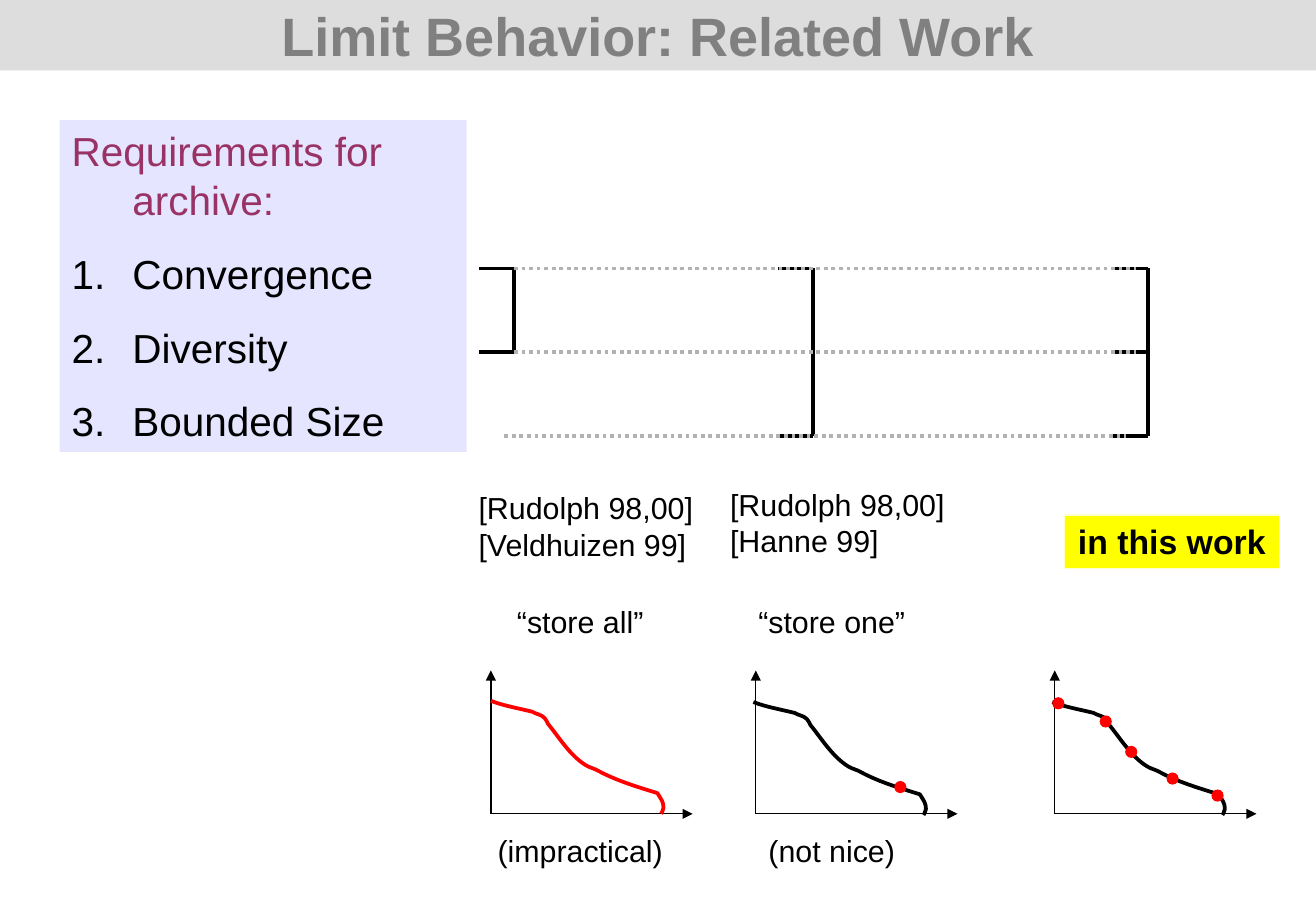
from lxml import etree
from pptx import Presentation
from pptx.dml.color import RGBColor
from pptx.enum.dml import MSO_LINE
from pptx.enum.shapes import MSO_CONNECTOR, MSO_SHAPE
from pptx.enum.text import MSO_ANCHOR, PP_ALIGN
from pptx.oxml.ns import qn
from pptx.util import Inches, Pt

RECT, OVAL = MSO_SHAPE.RECTANGLE, MSO_SHAPE.OVAL
STRAIGHT, DOTTED = MSO_CONNECTOR.STRAIGHT, MSO_LINE.ROUND_DOT
LEFT, CENTER = PP_ALIGN.LEFT, PP_ALIGN.CENTER
TOP, MIDDLE = MSO_ANCHOR.TOP, MSO_ANCHOR.MIDDLE

WIDTH, HEIGHT = 10.83, 7.5
BLACK, RED = "000000", "FF0000"
THIN, THICK = 0.75, 2.25

# Requirement rows and the brackets that join them
ROW_TOP, ROW_STEP = 2.21, 0.69
ROWS = [ROW_TOP + ROW_STEP * i for i in range(3)]
TICK = 0.29
BRACKETS = [(4.23, (0, 1)), (6.69, (0, 2)), (9.45, (0, 1, 2))]
GUIDE_STARTS, GUIDE_LENGTH = (4.23, 4.23, 4.15), 5.12

# Front as cubic segments: distances from its lower left corner, upwards negative
BASELINE, AXIS_X, AXIS_Y, DOT = 6.7, 1.66, 1.18, 0.1
FRONT = [
    (0, -0.93),
    (0.1, -0.89), (0.22, -0.87), (0.34, -0.84),
    (0.37, -0.82), (0.41, -0.82), (0.44, -0.79),
    (0.45, -0.78), (0.46, -0.76), (0.47, -0.74),
    (0.56, -0.63), (0.65, -0.48), (0.78, -0.4),
    (0.81, -0.38), (0.86, -0.37), (0.89, -0.35),
    (1.04, -0.27), (1.21, -0.22), (1.37, -0.17),
    (1.4, -0.12), (1.42, -0.1), (1.42, -0.05),
    (1.42, -0.03), (1.4, 0), (1.4, 0),
]
# Axis origin, corner of the front, front colour, stored solutions
PLOTS = [
    (4.04, (4.04, 6.7), RED, []),
    (6.22, (6.2, 6.71), BLACK, [(1.19, -0.22)]),
    (8.68, (8.66, 6.71), BLACK, [(0.63, -0.51), (0.03, -0.91), (0.42, -0.76),
                                 (1.34, -0.15), (0.97, -0.29)]),
]

REQUIREMENTS = ["Convergence", "Diversity", "Bounded Size"]
LABELS = [
    ("[Rudolph 98,00] [Veldhuizen 99]", (3.84, 3.98, 1.97, 0.7), LEFT),
    ("“store all”", (3.74, 4.92, 2.07, 0.4), CENTER),
    ("(impractical)", (3.74, 6.8, 2.07, 0.4), CENTER),
    ("[Rudolph 98,00] [Hanne 99]", (5.91, 3.95, 2.07, 0.7), LEFT),
    ("“store one”", (5.91, 4.92, 1.87, 0.4), CENTER),
    ("(not nice)", (5.91, 6.8, 1.87, 0.4), CENTER),
]


def color(value):
    return RGBColor.from_string(value)


def style_text(paragraph, size, ink, align=LEFT, bold=False):
    paragraph.alignment = align
    font = paragraph.font
    font.name, font.size, font.bold = "Arial", Pt(size), bold
    font.color.rgb = color(ink)


def write(holder, text, size=18, ink=BLACK, align=CENTER, bold=False, anchor=TOP):
    frame = holder.text_frame
    frame.word_wrap = True
    frame.vertical_anchor = anchor
    frame.text = text
    style_text(frame.paragraphs[0], size, ink, align, bold)


def add_block(slide, kind, area, fill, outline=None):
    block = slide.shapes.add_shape(kind, *map(Inches, area))
    block.shadow.inherit = False
    block.fill.solid()
    block.fill.fore_color.rgb = color(fill)
    if outline:
        block.line.color.rgb = color(outline)
        block.line.width = Pt(THIN)
    else:
        block.line.fill.background()
    return block


def add_line(slide, start, end, ink=BLACK, width=THICK, dash=None, arrow=False):
    line = slide.shapes.add_connector(STRAIGHT, *map(Inches, start + end))
    line.line.color.rgb = color(ink)
    line.line.width = Pt(width)
    if dash:
        line.line.dash_style = dash
    properties = line._element.spPr
    if arrow:
        etree.SubElement(properties.find(qn("a:ln")), qn("a:tailEnd"), type="triangle")
    etree.SubElement(properties, qn("a:effectLst"))


def add_front(slide, corner, ink):
    left, bottom = corner
    points = [(Inches(left + x), Inches(bottom + y)) for x, y in FRONT]
    builder = slide.shapes.build_freeform(*points[0])
    builder.add_line_segments(points[1:], close=False)
    front = builder.convert_to_shape()
    front.shadow.inherit = False
    front.fill.background()
    front.line.color.rgb = color(ink)
    front.line.width = Pt(THICK)
    # Join every three points into one cubic curve
    outline = front._element.spPr.find(".//" + qn("a:pathLst"))[0]
    steps = outline.findall(qn("a:lnTo"))
    for first in range(0, len(steps), 3):
        curve = etree.SubElement(outline, qn("a:cubicBezTo"))
        for step in steps[first:first + 3]:
            curve.append(step[0])
            outline.remove(step)


def add_plot(slide, origin, corner, ink, solutions):
    start = (origin, BASELINE)
    add_line(slide, start, (origin + AXIS_X, BASELINE), width=THIN, arrow=True)
    add_line(slide, start, (origin, BASELINE - AXIS_Y), width=THIN, arrow=True)
    add_front(slide, corner, ink)
    for x, y in solutions:
        add_block(slide, OVAL, (origin + x - DOT / 2, BASELINE + y - DOT / 2, DOT, DOT), RED)


def add_bracket(slide, x, rows):
    for upper, lower in zip(rows, rows[1:]):
        add_line(slide, (x, ROWS[upper]), (x, ROWS[lower]))
    for row in rows:
        add_line(slide, (x, ROWS[row]), (x - TICK, ROWS[row]))


def add_requirements(slide):
    panel = add_block(slide, RECT, (0.49, 0.99, 3.35, 2.73), "CCCCFF")
    tint = panel._element.spPr.find(qn("a:solidFill"))[0]
    etree.SubElement(tint, qn("a:alpha"), val="50000")
    frame = panel.text_frame
    frame.word_wrap = True
    frame.vertical_anchor = TOP
    frame.text = "\n".join(["Requirements for archive:"] + REQUIREMENTS)
    for index, paragraph in enumerate(frame.paragraphs):
        properties = paragraph._p.get_or_add_pPr()
        properties.set("marL", str(Inches(0.5)))
        properties.set("indent", str(-Inches(0.5)))
        if index:
            etree.SubElement(properties, qn("a:buAutoNum"), type="arabicPeriod")
            paragraph.space_before = Pt(15)
        style_text(paragraph, 24, BLACK if index else "993366")


def main():
    deck = Presentation()
    deck.slide_width, deck.slide_height = Inches(WIDTH), Inches(HEIGHT)
    slide = deck.slides.add_slide(deck.slide_layouts[6])

    # Title band
    band = add_block(slide, RECT, (0, 0, WIDTH, 0.58), "DDDDDD")
    write(band, "Limit Behavior: Related Work", 32, "808080", bold=True, anchor=MIDDLE)

    # Requirements, references, captions and plots
    add_requirements(slide)
    for text, area, align in LABELS:
        write(slide.shapes.add_textbox(*map(Inches, area)), text, align=align)
    for plot in PLOTS:
        add_plot(slide, *plot)

    # Requirements that each approach meets
    for x, rows in BRACKETS:
        add_bracket(slide, x, rows)

    # Own contribution
    own_work = add_block(slide, RECT, (8.76, 4.24, 1.77, 0.44), "FFFF00", "FFFFCC")
    write(own_work, "in this work", 20, bold=True)

    # Guides along the requirement rows
    for start, y in zip(GUIDE_STARTS, ROWS):
        add_line(slide, (start, y), (start + GUIDE_LENGTH, y), "B2B2B2", dash=DOTTED)

    deck.save("out.pptx")


if __name__ == "__main__":
    main()
